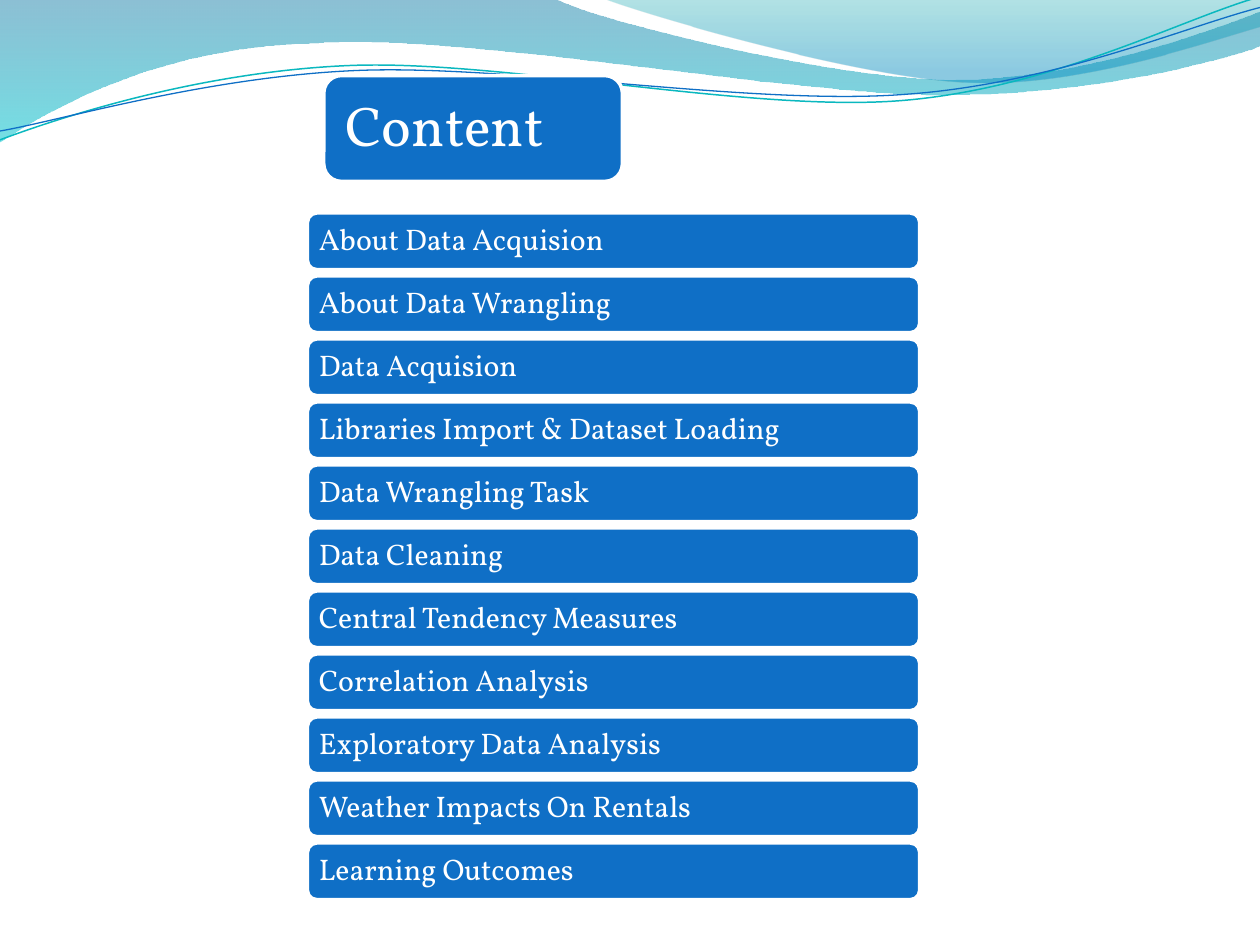
from math import cos, radians, sin
from lxml import etree
from pptx import Presentation
from pptx.dml.color import RGBColor
from pptx.enum.shapes import MSO_SHAPE
from pptx.enum.text import MSO_ANCHOR, PP_ALIGN
from pptx.oxml.ns import qn
from pptx.util import Inches, Pt

ROUND = MSO_SHAPE.ROUNDED_RECTANGLE
MIDDLE = MSO_ANCHOR.MIDDLE
LEFT = PP_ALIGN.LEFT

COLORS = {
    "blue": "0F6FC6", "teal": "0AB8BF", "white": "FFFFFF",
    "deep": "0074A1", "aqua": "00C6CF", "sea": "00A1A9", "sky": "008BBF",
}
FONT = "Vollkorn"
TILT = 2.7

ITEMS = [
    "About Data Acquision", "About Data Wrangling", "Data Acquision",
    "Libraries Import & Dataset Loading", "Data Wrangling Task",
    "Data Cleaning", "Central Tendency Measures", "Correlation Analysis",
    "Exploratory Data Analysis", "Weather Impacts On Rentals",
    "Learning Outcomes",
]

# Outlines: a start point, then line ends (2 numbers) or cubic curves (6)
WIDE_BAND = [
    (0, 0), (4.4, -0.01),
    (4.76, 0.17, 6.64, 0.63, 7.58, 0.63), (8.53, 0.63, 9.58, 0.26, 10, 0.09),
    (10.01, 0.36),
    (9.83, 0.44, 8.7, 0.76, 7.46, 0.75), (6.22, 0.75, 3.82, 0.28, 2.57, 0.34),
    (1.29, 0.36, 0.46, 0.83, -0.01, 1.13), (0, 0),
]
RIGHT_BAND = [
    (4.79, -0.01),
    (5.09, 0.11, 6.82, 0.62, 7.69, 0.65), (8.56, 0.69, 9.61, 0.32, 10, 0.21),
    (10, 0), (4.79, -0.01),
]
TEAL_WAVE = [
    (0, 1.11),
    (0.48, 0.93, 1.58, 0.57, 2.77, 0.52), (3.95, 0.47, 5.93, 0.89, 7.13, 0.8),
    (8.33, 0.71, 9.38, 0.15, 9.98, -0.02),
]
BLUE_WAVE = [
    (0, 1.04),
    (0.47, 0.96, 1.64, 0.61, 2.83, 0.56), (4.03, 0.51, 5.97, 0.84, 7.17, 0.75),
    (8.36, 0.67, 9.41, 0.21, 10, 0.06),
]


def rgb(name):
    return RGBColor.from_string(COLORS[name])


def set_all(target, values):
    for name, value in values.items():
        setattr(target, name, value)


def pairs(part):
    return list(zip(part[::2], part[1::2]))


def turn(part, mid):
    """Turn the points of a part clockwise by TILT about mid."""
    c, s = cos(radians(TILT)), sin(radians(TILT))
    turned = []
    for x, y in pairs(part):
        dx, dy = x - mid[0], y - mid[1]
        turned += [mid[0] + dx * c - dy * s, mid[1] + dx * s + dy * c]
    return turned


def bend(shape, path):
    """Join each three line segments of a curve part into one cubic."""
    lines = iter(list(shape.element.iter(qn("a:lnTo"))))
    for part in path[1:]:
        first = next(lines)
        if len(part) == 2:
            continue
        first.tag = qn("a:cubicBezTo")
        for line in (next(lines), next(lines)):
            first.append(line[0])
            line.getparent().remove(line)


def add_free(shapes, path, close):
    points = [(Inches(x), Inches(y)) for part in path for x, y in pairs(part)]
    draft = shapes.build_freeform(*points[0], scale=1.0)
    draft.add_line_segments(points[1:], close=close)
    shape = draft.convert_to_shape()
    bend(shape, path)
    shape.shadow.inherit = False
    return shape


def add_band(shapes, path, stops):
    """Add a see-through band; stops are (position, color, opacity %)."""
    shape = add_free(shapes, path, True)
    shape.line.fill.background()
    shape.fill.gradient()
    shape.fill.gradient_angle = 270
    for stop, (place, color, _) in zip(shape.fill.gradient_stops, stops):
        stop.position = place
        stop.color.rgb = rgb(color)
    tones = shape.element.spPr.iter(qn("a:srgbClr"))
    for tone, (_, _, part) in zip(tones, stops):
        etree.SubElement(tone, qn("a:alpha")).set("val", str(part * 1000))


def add_wave(shapes, path, mid, color, width):
    shape = add_free(shapes, [turn(part, mid) for part in path], False)
    shape.rotation = -TILT
    shape.fill.background()
    shape.line.color.rgb = rgb(color)
    shape.line.width = Pt(width)


def add_box(shapes, place):
    shape = shapes.add_shape(ROUND, *map(Inches, place))
    shape.shadow.inherit = False
    shape.fill.solid()
    shape.fill.fore_color.rgb = rgb("blue")
    shape.line.color.rgb = rgb("white")
    shape.line.width = Pt(2)


def add_text(shapes, text, place, size, inset):
    frame = shapes.add_textbox(*map(Inches, place)).text_frame
    set_all(frame, {
        "word_wrap": True, "vertical_anchor": MIDDLE,
        "margin_left": Inches(inset), "margin_right": Inches(inset),
        "margin_top": Inches(inset), "margin_bottom": Inches(inset),
    })
    para = frame.paragraphs[0]
    set_all(para, {"alignment": LEFT, "line_spacing": 0.9})
    run = para.add_run()
    run.text = text
    set_all(run.font, {"name": FONT, "size": Pt(size)})
    run.font.color.rgb = rgb("white")


def main():
    deck = Presentation()
    set_all(deck, {"slide_width": Inches(10), "slide_height": Inches(7.5)})
    shapes = deck.slides.add_slide(deck.slide_layouts[6]).shapes

    # Bands and waves along the top
    add_band(shapes, WIDE_BAND, [(0, "deep", 45), (1, "aqua", 55)])
    add_band(shapes, RIGHT_BAND, [(0, "sea", 30), (0.8, "sky", 45)])
    waves = shapes.add_group_shape().shapes
    add_wave(waves, TEAL_WAVE, (4.99, 0.58), "teal", 0.85)
    add_wave(waves, BLUE_WAVE, (5, 0.59), "blue", 0.75)

    # Title
    title = shapes.add_group_shape().shapes
    add_box(title, (2.57, 0.6, 2.37, 0.84))
    add_text(title, "Content", (2.61, 0.64, 2.29, 0.76), 32, 0.13)

    # Content list
    rows = shapes.add_group_shape().shapes
    for row, item in enumerate(ITEMS):
        top = 1.69 + 0.5 * row
        add_box(rows, (2.44, top, 4.86, 0.45))
        add_text(rows, item, (2.46, top + 0.02, 4.81, 0.4), 17, 0.07)

    deck.save("out.pptx")


if __name__ == "__main__":
    main()
